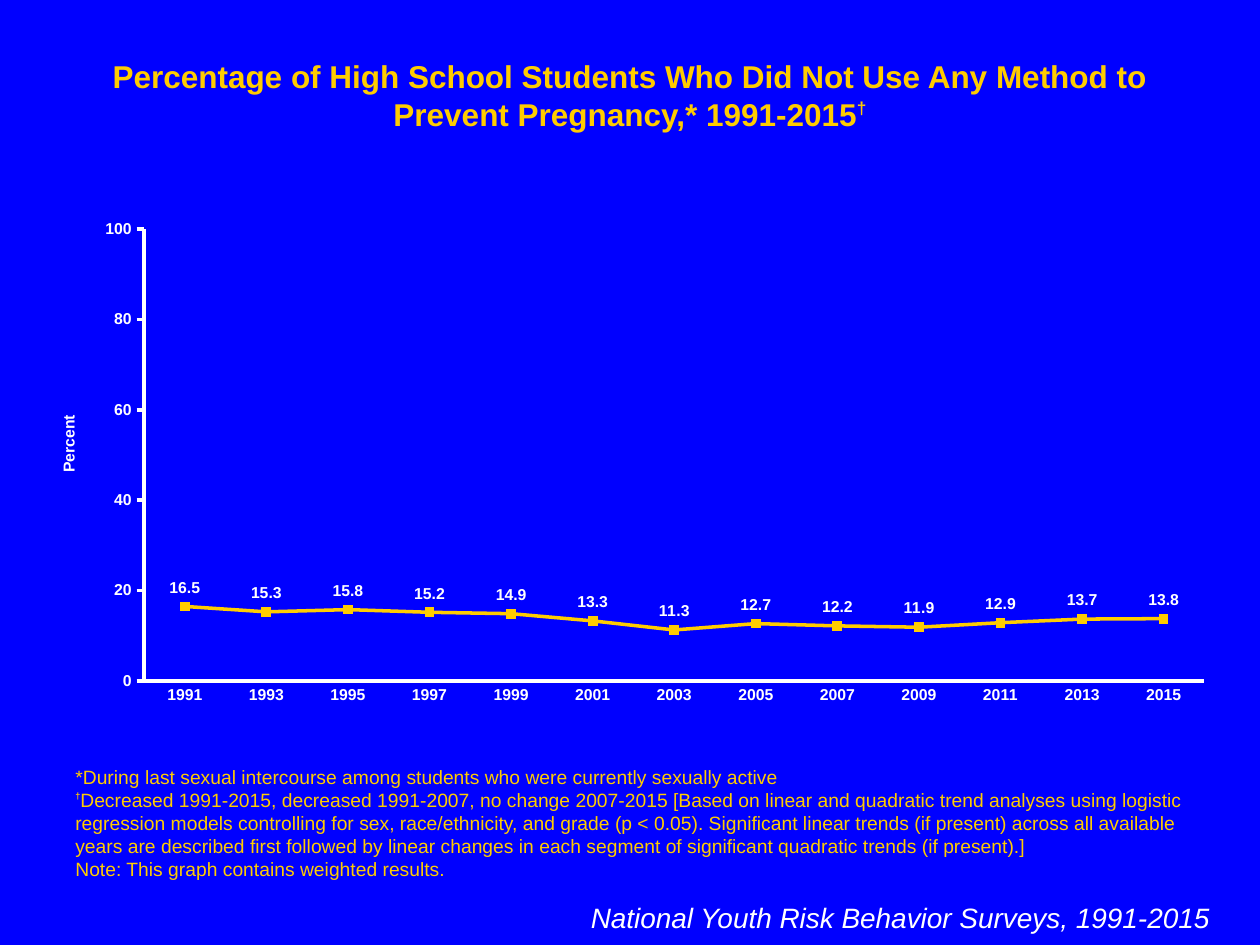
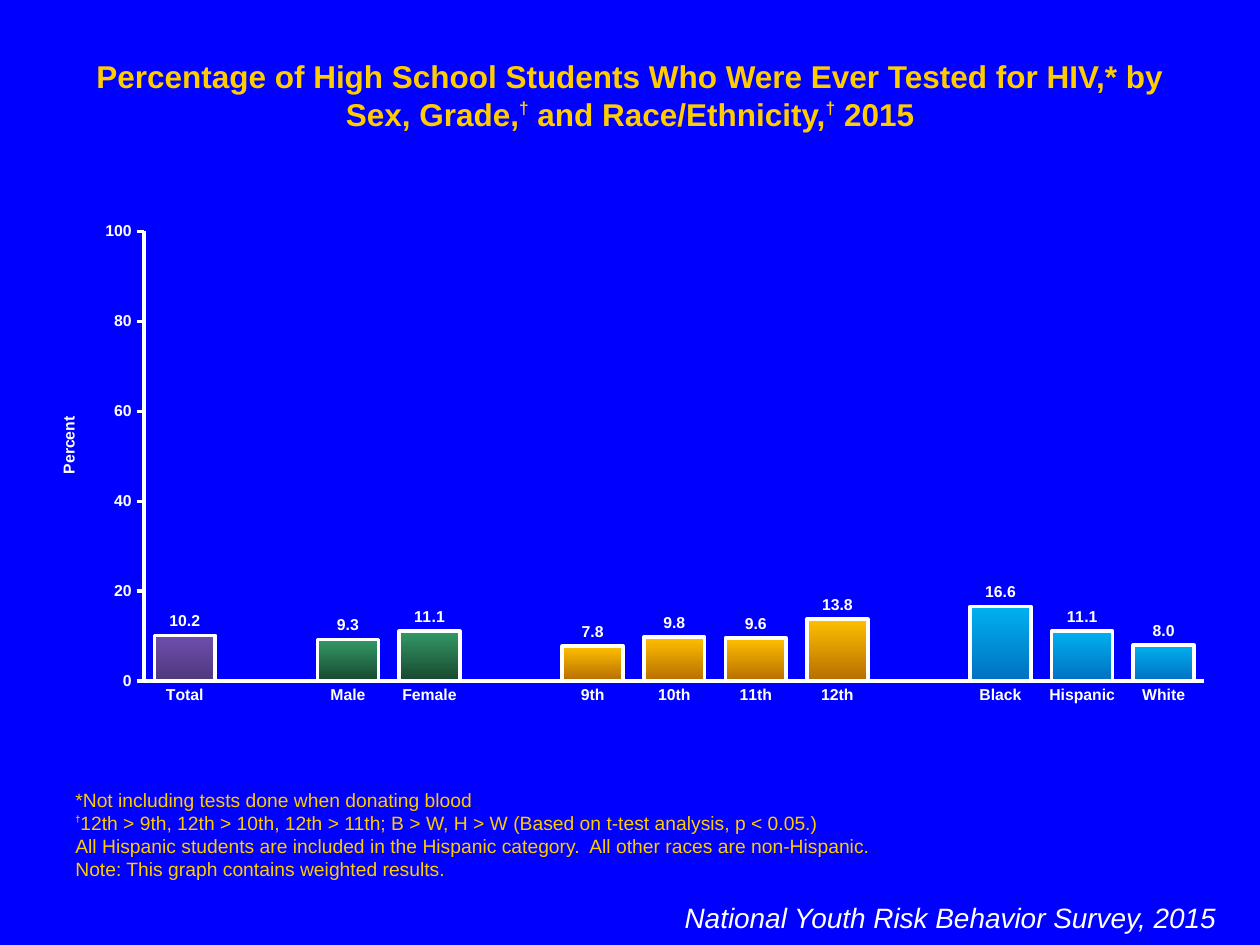
from lxml import etree
from pptx import Presentation
from pptx.chart.data import CategoryChartData
from pptx.dml.color import RGBColor
from pptx.enum.chart import XL_CHART_TYPE, XL_LABEL_POSITION, XL_MARKER_STYLE, XL_TICK_MARK
from pptx.enum.text import MSO_ANCHOR, MSO_AUTO_SIZE, PP_ALIGN
from pptx.oxml.ns import qn
from pptx.util import Inches, Pt

FONT = "Arial"
COLORS = {"background": "0000FF", "accent": "FFCC00", "ink": "FFFFFF"}
GRADIENTS = {
    "total": ("6E4EAE", "4F387C"),
    "sex": ("339966", "18472F"),
    "grade": ("FFC000", "B66D00"),
    "race": ("00B0F0", "0070C0"),
}
DAGGER = "†"
WEIGHTED_NOTE = "Note: This graph contains weighted results."

TREND = {
    "1991": 16.5, "1993": 15.3, "1995": 15.8, "1997": 15.2, "1999": 14.9,
    "2001": 13.3, "2003": 11.3, "2005": 12.7, "2007": 12.2, "2009": 11.9,
    "2011": 12.9, "2013": 13.7, "2015": 13.8,
}
TESTED_GROUPS = {
    "total": {"Total": 10.2},
    "sex": {"Male": 9.3, "Female": 11.1},
    "grade": {"9th": 7.8, "10th": 9.8, "11th": 9.6, "12th": 13.8},
    "race": {"Black": 16.6, "Hispanic": 11.1, "White": 8.0},
}


def rgb(name):
    return RGBColor.from_string(COLORS.get(name, name))


def style_font(font, size, color="ink", bold=False, italic=False):
    font.name = FONT
    font.size = Pt(size)
    font.bold = bold
    font.italic = italic
    font.color.rgb = rgb(color)


def style_line(line, color="ink"):
    line.color.rgb = rgb(color)
    line.width = Pt(2)


def add_styled_run(paragraph, text, size, **style):
    run = paragraph.add_run()
    run.text = text
    style_font(run.font, size, **style)
    return run


def write_with_daggers(paragraph, text, size, dagger_size, raised, bold):
    for index, piece in enumerate(text.split(DAGGER)):
        if index:
            mark = add_styled_run(paragraph, DAGGER, dagger_size, color="accent", bold=True)
            mark.font._element.set("baseline", str(raised * 1000))
        if piece:
            add_styled_run(paragraph, piece, size, color="accent", bold=bold)


def add_title(slide, text):
    title = slide.shapes.title
    title.left, title.top = Inches(0.5), Inches(0.4)
    title.width, title.height = Inches(9), Inches(0.7)
    frame = title.text_frame
    frame.auto_size = MSO_AUTO_SIZE.NONE
    frame.vertical_anchor = MSO_ANCHOR.TOP
    paragraph = frame.paragraphs[0]
    paragraph.alignment = PP_ALIGN.CENTER
    write_with_daggers(paragraph, text, 18, 17, 40, True)


def add_text_frame(slide, left, top, width, height):
    box = slide.shapes.add_textbox(Inches(left), Inches(top), Inches(width), Inches(height))
    box.text_frame.word_wrap = True
    return box.text_frame


def add_footnotes(slide, notes):
    frame = add_text_frame(slide, 0.5, 6.02, 9, 1.02)
    frame.vertical_anchor = MSO_ANCHOR.BOTTOM
    for index, note in enumerate(notes):
        paragraph = frame.add_paragraph() if index else frame.paragraphs[0]
        write_with_daggers(paragraph, note, 11, 9, 50, False)


def add_survey_name(slide, name, right):
    frame = add_text_frame(slide, right - 5.5, 7.1, 5.5, 0.37)
    frame.text = name
    paragraph = frame.paragraphs[0]
    paragraph.alignment = PP_ALIGN.RIGHT
    style_font(paragraph.runs[0].font, 16, italic=True)


def set_layout(parent, position, inner=False, **fractions):
    old = parent.find(qn("c:layout"))
    if old is not None:
        parent.remove(old)
    layout = etree.Element(qn("c:layout"))
    manual = etree.SubElement(layout, qn("c:manualLayout"))
    settings = {"xMode": "edge", "yMode": "edge", **fractions}
    if inner:
        settings = {"layoutTarget": "inner", **settings}
    for tag, value in settings.items():
        etree.SubElement(manual, qn(f"c:{tag}")).set("val", str(value))
    parent.insert(position, layout)


def style_axes(chart):
    years_or_groups, percent = chart.category_axis, chart.value_axis
    for axis in (years_or_groups, percent):
        axis.has_major_gridlines = False
        axis.minor_tick_mark = XL_TICK_MARK.NONE
        style_line(axis.format.line)
        style_font(axis.tick_labels.font, 9, bold=True)
    years_or_groups.major_tick_mark = XL_TICK_MARK.NONE
    percent.major_tick_mark = XL_TICK_MARK.OUTSIDE
    percent.minimum_scale, percent.maximum_scale = 0, 100
    percent.major_unit = 20
    percent.tick_labels.number_format = "#,##0"
    percent.tick_labels.number_format_is_linked = False
    caption = percent.axis_title
    caption.text_frame.text = "Percent"
    style_font(caption.text_frame.paragraphs[0].runs[0].font, 9, bold=True)
    set_layout(caption._element, 1, x=0.02, y=0.4)


def add_percent_chart(slide, kind, categories, values, label_position, top):
    data = CategoryChartData()
    data.categories = categories
    data.add_series("Series 1", values)
    chart = slide.shapes.add_chart(
        kind, Inches(0.25), Inches(top), Inches(9.5), Inches(5.67 - top), data
    ).chart
    chart.has_legend = False
    chart.has_title = False
    style_font(chart.font, 18)
    style_axes(chart)
    plot_area = chart._chartSpace.chart.plotArea
    set_layout(plot_area, 0, inner=True, x=0.094, y=0.037, w=0.886, h=0.897)
    plot = chart.plots[0]
    plot.vary_by_categories = False
    plot.has_data_labels = True
    labels = plot.data_labels
    labels.show_value = True
    labels.number_format = "#,##0.0"
    labels.number_format_is_linked = False
    labels.position = label_position
    style_font(labels.font, 9, bold=True)
    return plot


def add_trend_chart(slide):
    plot = add_percent_chart(
        slide, XL_CHART_TYPE.LINE_MARKERS, list(TREND), list(TREND.values()),
        XL_LABEL_POSITION.ABOVE, 1.67,
    )
    trend = plot.series[0]
    trend.smooth = False
    style_line(trend.format.line, "accent")
    trend.marker.style = XL_MARKER_STYLE.SQUARE
    trend.marker.size = 5
    trend.marker.format.fill.solid()
    trend.marker.format.fill.fore_color.rgb = rgb("accent")
    trend.marker.format.line.color.rgb = rgb("accent")


def add_group_chart(slide):
    bars = []
    for group, members in TESTED_GROUPS.items():
        if bars:
            bars.append(("", None, None))
        bars += [(name, value, group) for name, value in members.items()]
    categories, values, groups = zip(*bars)
    plot = add_percent_chart(
        slide, XL_CHART_TYPE.COLUMN_CLUSTERED, categories, values,
        XL_LABEL_POSITION.OUTSIDE_END, 1.69,
    )
    plot.gap_width, plot.overlap = 34, 100
    for index, group in enumerate(groups):
        if group:
            bar = plot.series[0].points[index].format
            bar.fill.gradient()
            bar.fill.gradient_angle = 270
            for stop, color in zip(bar.fill.gradient_stops, GRADIENTS[group]):
                stop.color.rgb = rgb(color)
            style_line(bar.line)


def add_survey_slide(prs, title, add_graph, notes, survey, right):
    slide = prs.slides.add_slide(prs.slide_layouts[5])
    add_title(slide, title)
    add_footnotes(slide, [*notes, WEIGHTED_NOTE])
    add_survey_name(slide, survey, right)
    add_graph(slide)


def main():
    prs = Presentation()
    prs.slide_width, prs.slide_height = Inches(10), Inches(7.5)
    backdrop = prs.slide_master.background.fill
    backdrop.solid()
    backdrop.fore_color.rgb = rgb("background")
    add_survey_slide(
        prs,
        "Percentage of High School Students Who Did Not Use Any Method to "
        "Prevent Pregnancy,* 1991-2015†",
        add_trend_chart,
        [
            "*During last sexual intercourse among students who were currently sexually active",
            "†Decreased 1991-2015, decreased 1991-2007, no change 2007-2015 [Based on linear "
            "and quadratic trend analyses using logistic regression models controlling for sex, "
            "race/ethnicity, and grade (p < 0.05). Significant linear trends (if present) across "
            "all available years are described first followed by linear changes in each segment "
            "of significant quadratic trends (if present).]",
        ],
        "National Youth Risk Behavior Surveys, 1991-2015",
        9.7,
    )
    add_survey_slide(
        prs,
        "Percentage of High School Students Who Were Ever Tested for HIV,* by "
        "Sex, Grade,† and Race/Ethnicity,† 2015",
        add_group_chart,
        [
            "*Not including tests done when donating blood",
            "†12th > 9th, 12th > 10th, 12th > 11th; B > W, H > W "
            "(Based on t-test analysis, p < 0.05.)",
            "All Hispanic students are included in the Hispanic category.  "
            "All other races are non-Hispanic.",
        ],
        "National Youth Risk Behavior Survey, 2015",
        9.75,
    )
    prs.save("out.pptx")


if __name__ == "__main__":
    main()
